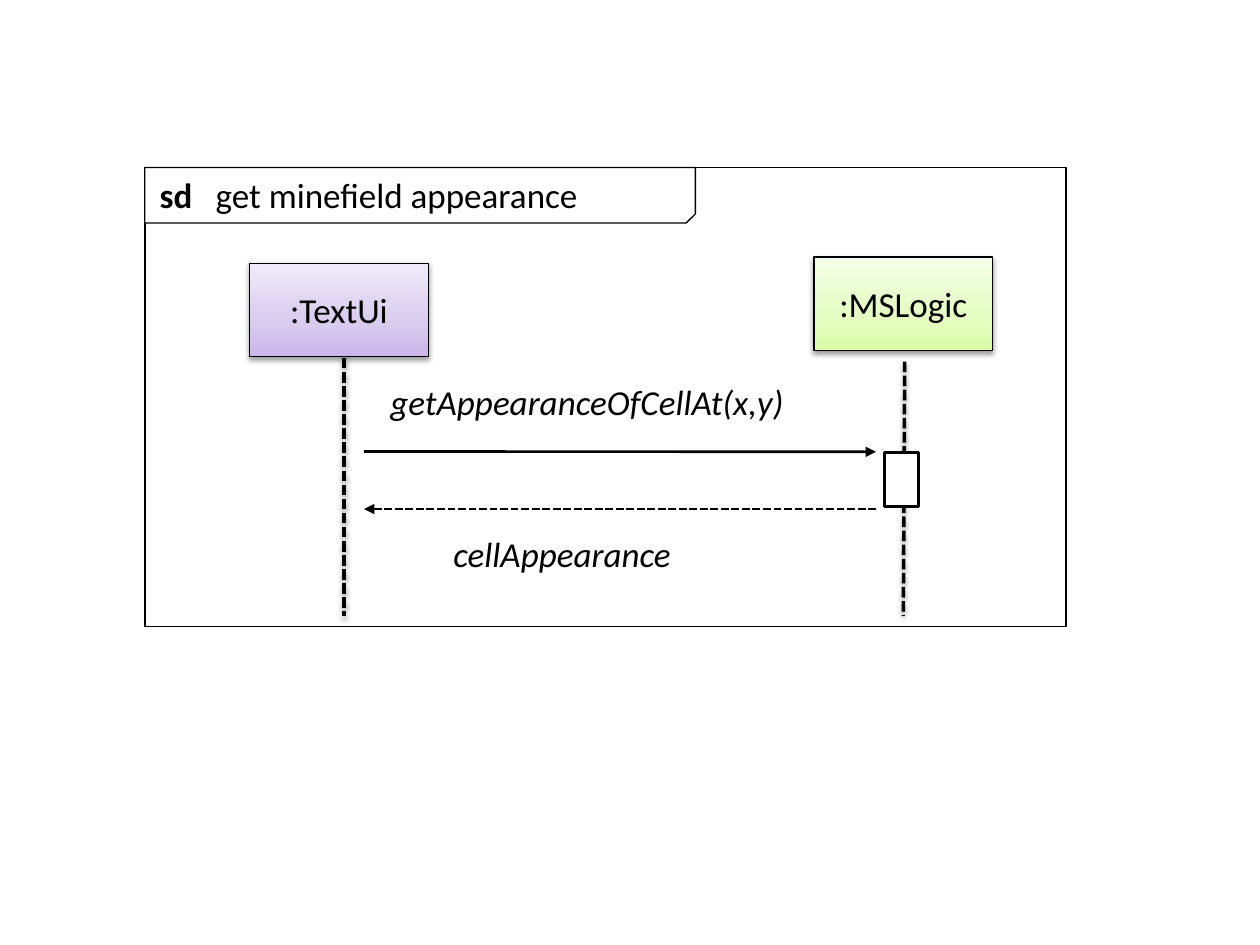
from copy import deepcopy
from pptx import Presentation
from pptx.dml.color import RGBColor
from pptx.enum import dml, shapes, text
from pptx.oxml import ns, xmlchemy as xc
from pptx.util import Pt

INK = {"black": "000000", "white": "FFFFFF"}
FILLS = {
    "violet": ("C9B5E8", "D8CBEE", "F0EAF9"),
    "green": ("DAFDA7", "E4FCC2", "F5FFE7"),
}
STOPS = (0, 0.35, 1)


def rgb(name):
    """Return the ink colour of that name."""
    return RGBColor.from_string(INK[name])


def add(parent, tag, **attrs):
    """Append a drawing element with the given attributes."""
    node = xc.OxmlElement(tag)
    for key, val in attrs.items():
        node.set(key, str(val))
    parent.append(node)
    return node


def shade(effects):
    """Put a soft shadow below the shape that owns the effect list."""
    shadow = add(effects, "a:outerShdw", blurRad=Pt(3.1), dist=Pt(1.6),
                 dir=5400000, rotWithShape=0)
    color = add(shadow, "a:srgbClr", val=INK["black"])
    add(color, "a:alpha", val=38000)


def font(para, italic=None):
    """Set the common font of a paragraph."""
    face = para.font
    face.name, face.size, face.italic = "Calibri", Pt(20), italic
    face.color.rgb = rgb("black")


def block(slide, kind, box, width, fill=None):
    """Draw an outlined preset shape, hollow unless a fill is named."""
    shape = slide.shapes.add_shape(kind, *map(Pt, box))
    shape.shadow.inherit = False
    if fill:
        shape.fill.solid()
        shape.fill.fore_color.rgb = rgb(fill)
    else:
        shape.fill.background()
    shape.line.color.rgb = rgb("black")
    shape.line.width = Pt(width)
    return shape


def line(slide, start, end, width, dash=False, arrow=False, shadow=False):
    """Draw a straight line, optionally dashed, arrowed or shaded."""
    link = slide.shapes.add_connector(
        shapes.MSO_CONNECTOR.STRAIGHT, *map(Pt, start + end))
    link.line.color.rgb = rgb("black")
    link.line.width = Pt(width)
    if dash:
        link.line.dash_style = dml.MSO_LINE.SQUARE_DOT
    if arrow:
        add(link.line._get_or_add_ln(), "a:tailEnd", type="triangle")
    effects = add(link._element.spPr, "a:effectLst")
    if shadow:
        shade(effects)


def label(slide, box, words=""):
    """Place a text box and return it with its first paragraph."""
    note = slide.shapes.add_textbox(*map(Pt, box))
    note.text_frame.word_wrap = True
    para = note.text_frame.paragraphs[0]
    if words:
        para.text = words
        font(para, italic=True)
    return note, para


def frame(slide, box):
    """Draw the diagram frame with its titled tab."""
    left, top, _, _ = box
    block(slide, shapes.MSO_SHAPE.RECTANGLE, box, 0.75)
    tab = block(slide, shapes.MSO_SHAPE.SNIP_1_RECTANGLE,
                (left, top, 314.6, 31.7), 0.75, "white")
    tab._element.spPr.find(ns.qn("a:xfrm")).set("flipV", "1")
    note, para = label(slide, (left + 1.4, top, 307.4, 31))
    note.text_frame.vertical_anchor = text.MSO_ANCHOR.MIDDLE
    tabs = add(para._p.get_or_add_pPr(), "a:tabLst")
    add(tabs, "a:tab", pos=Pt(32), algn="l")
    for words, bold in (("sd", True), ("\tget minefield appearance", False)):
        run = para.add_run()
        run.text = words
        run.font.bold = bold
    font(para)


def actor(slide, box, name, tone, start, end):
    """Draw a participant box and its lifeline."""
    line(slide, start, end, 2, dash=True, shadow=True)
    head = block(slide, shapes.MSO_SHAPE.RECTANGLE, box, 0.75)
    head.fill.gradient()
    head.fill.gradient_angle = 90
    stops = head._element.spPr.find(".//" + ns.qn("a:gsLst"))
    stops.append(deepcopy(stops[-1]))
    for stop, spot, hue in zip(head.fill.gradient_stops, STOPS, FILLS[tone]):
        stop.position = spot
        stop.color.rgb = RGBColor.from_string(hue)
    shade(head._element.spPr.find(ns.qn("a:effectLst")))
    body = head.text_frame
    body.word_wrap = True
    body.margin_top = body.margin_bottom = Pt(14.4)
    para = body.paragraphs[0]
    para.text = name
    para.alignment = text.PP_ALIGN.CENTER
    font(para)


def calls(slide, box):
    """Draw the activation bar, the call and its reply."""
    left, top, _, _ = box
    near, far = left + 125.2, left + 417.8
    block(slide, shapes.MSO_SHAPE.RECTANGLE,
          (left + 422.6, top + 162.7, 19.4, 31), 2, "white")
    label(slide, (left + 133.2, top + 118, 287.3, 31.7),
          "getAppearanceOfCellAt(x,y)")
    line(slide, (near, top + 162.2), (far, top + 162.4), 1.5, arrow=True)
    line(slide, (far, top + 195.1), (near, top + 195.1), 1.5,
         dash=True, arrow=True)
    label(slide, (left + 169.2, top + 205.2, 182.9, 31.7), "cellAppearance")


def main():
    """Build the sequence diagram slide."""
    deck = Presentation()
    deck.slide_width, deck.slide_height = Pt(720), Pt(540)
    slide = deck.slides.add_slide(deck.slide_layouts[6])
    box = (82.8, 95.8, 526.3, 262.1)
    frame(slide, box)
    actor(slide, (142.6, 150.5, 102.2, 53.3), ":TextUi", "violet",
          (196.6, 156.2), (196.6, 352.1))
    actor(slide, (465.1, 146.9, 102.2, 53.3), ":MSLogic", "green",
          (517, 206.6), (516.2, 352.1))
    calls(slide, box)
    deck.save("out.pptx")


if __name__ == "__main__":
    main()
